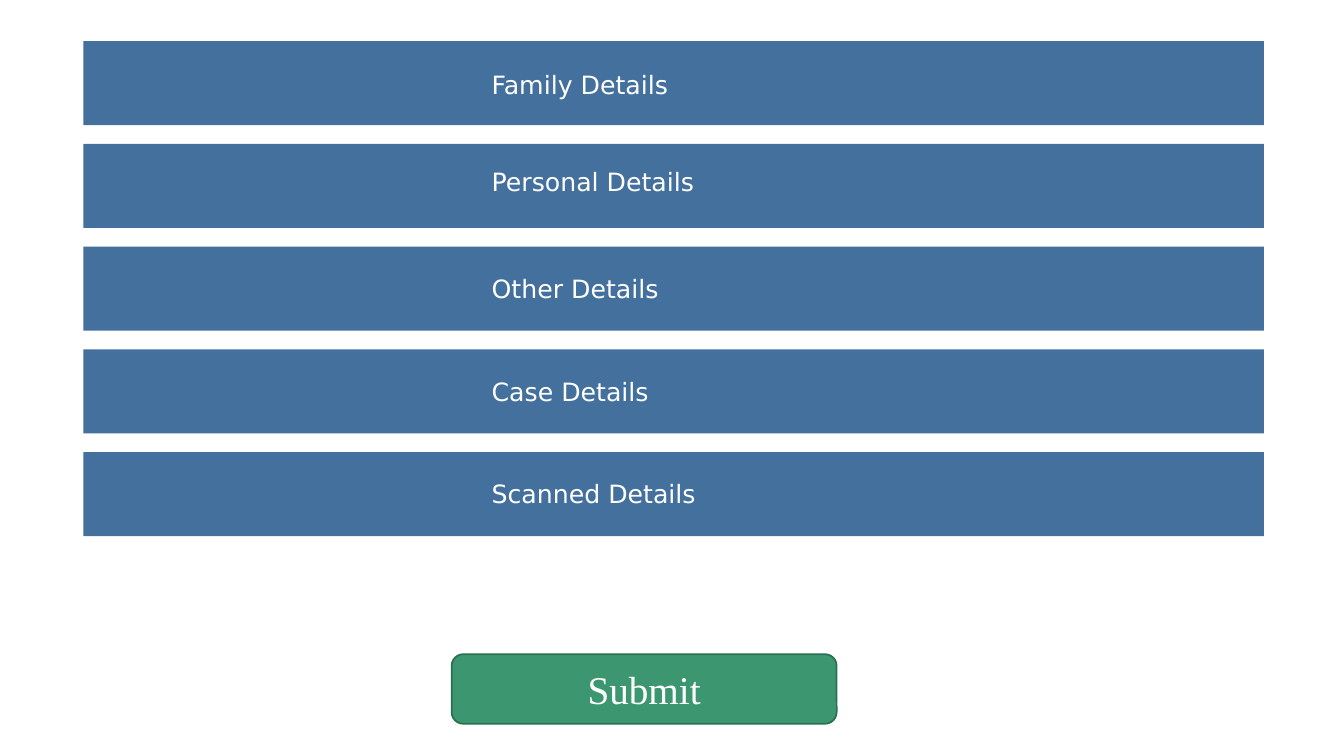
"""Build a form menu slide with five section bars and a submit button."""
from pptx import Presentation
from pptx.dml.color import RGBColor
from pptx.enum.shapes import MSO_SHAPE
from pptx.enum.text import MSO_ANCHOR, PP_ALIGN
from pptx.util import Pt

RECT, ROUND = MSO_SHAPE.RECTANGLE, MSO_SHAPE.ROUNDED_RECTANGLE
MIDDLE = MSO_ANCHOR.MIDDLE
LEFT, CENTER = PP_ALIGN.LEFT, PP_ALIGN.CENTER
BLUE = RGBColor(0x44, 0x70, 0x9D)
GREEN = RGBColor(0x3C, 0x97, 0x70)
EDGE = RGBColor(0x2C, 0x70, 0x53)
WHITE = RGBColor(0xFF, 0xFF, 0xFF)

# label, label width, label shift from the bar's middle
ROWS = [
    ("Family Details", 299, 0.7),
    ("Personal Details", 299, -2.9),
    ("Other Details", 150, 0),
    ("Case Details", 150, 0),
    ("Scanned Details", 163.5, -0.7),
]
BAR_X, BAR_Y, BAR_W, BAR_H, STEP = 59.6, 29.4, 843.3, 60, 73.4
LABEL_X, LABEL_H = 347.6, 32.4
BUTTON = (322.6, 467.3, 275, 49.7)


def add_box(slide, kind, box, fill, edge=None):
    shape = slide.shapes.add_shape(kind, *map(Pt, box))
    shape.shadow.inherit = False
    shape.fill.solid()
    shape.fill.fore_color.rgb = fill
    if edge is None:
        shape.line.fill.background()
    else:
        shape.line.color.rgb = edge
        shape.line.width = Pt(1.25)
    return shape


def set_text(shape, text, face, size, align):
    frame = shape.text_frame
    frame.word_wrap = True
    frame.vertical_anchor = MIDDLE
    frame.margin_left = frame.margin_right = Pt(3.6)
    para = frame.paragraphs[0]
    para.text = text
    para.alignment = align
    para.font.name = face
    para.font.size = Pt(size)
    para.font.color.rgb = WHITE


def main():
    deck = Presentation()
    deck.slide_width, deck.slide_height = Pt(960), Pt(540)
    slide = deck.slides.add_slide(deck.slide_layouts[6])
    for i, (text, width, shift) in enumerate(ROWS):
        top = BAR_Y + i * STEP
        add_box(slide, RECT, (BAR_X, top, BAR_W, BAR_H), BLUE)
        y = top + (BAR_H - LABEL_H) / 2 + shift
        label = add_box(slide, RECT, (LABEL_X, y, width, LABEL_H), BLUE)
        set_text(label, text, "DejaVu Sans", 18, LEFT)
    button = add_box(slide, ROUND, BUTTON, GREEN, EDGE)
    set_text(button, "Submit", "Times New Roman", 28, CENTER)
    deck.save("out.pptx")


if __name__ == "__main__":
    main()
